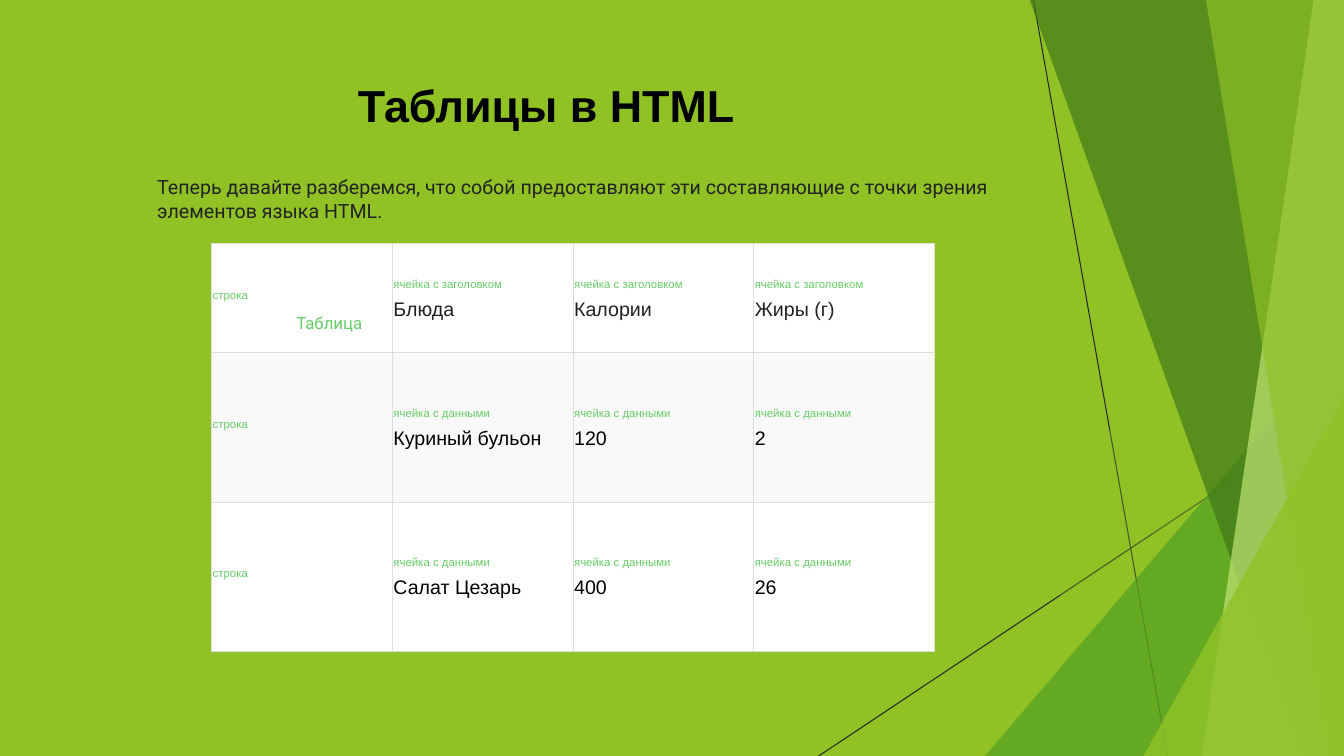
"""Builds the slide about tables in HTML with a labelled sample table."""
from lxml.etree import SubElement
from pptx import Presentation
from pptx.dml.color import RGBColor
from pptx.enum.shapes import MSO_CONNECTOR, MSO_SHAPE
from pptx.enum.text import MSO_ANCHOR, MSO_AUTO_SIZE
from pptx.oxml.ns import qn
from pptx.util import Inches, Pt

LIME = RGBColor(0x90, 0xC2, 0x26)
GREEN = RGBColor(0x54, 0xA0, 0x21)
DARK_GREEN = RGBColor(0x3F, 0x78, 0x19)
PALE_GREEN = RGBColor(0xC0, 0xE4, 0x74)
LABEL_GREEN = RGBColor(0x66, 0xCC, 0x66)
BLACK = RGBColor(0, 0, 0)
INK = RGBColor(0x22, 0x22, 0x22)
LINE_GREY = RGBColor(0x26, 0x26, 0x26)
BORDER_GREY = RGBColor(0xDD, 0xDD, 0xDD)
WHITE = RGBColor(0xFF, 0xFF, 0xFF)
STRIPE = RGBColor(0xF9, 0xF9, 0xF9)
WIDTH, HEIGHT, BAND_TOP = 13.33, 7.5, -0.01


def add_run(paragraph, text, size, font_name, color, bold=False):
    run = paragraph.add_run()
    run.text = text
    settings = {"size": Pt(size), "name": font_name, "bold": bold}
    for name, value in settings.items():
        setattr(run.font, name, value)
    run.font.color.rgb = color
    return run


presentation = Presentation()
presentation.slide_width = Inches(WIDTH)
presentation.slide_height = Inches(HEIGHT)
slide = presentation.slides.add_slide(presentation.slide_layouts[6])
slide.background.fill.solid()
slide.background.fill.fore_color.rgb = LIME

for x1, y1, x2, y2 in [(10.25, 0, 11.58, HEIGHT), (WIDTH, 4.03, 8.12, HEIGHT)]:
    line = slide.shapes.add_connector(
        MSO_CONNECTOR.STRAIGHT, Inches(x1), Inches(y1), Inches(x2), Inches(y2))
    line.line.color.rgb = LINE_GREY
    line.line.width = Pt(0.75)
    SubElement(line._element.spPr, qn("a:effectLst"))

facets = [
    ("band", (12.28, 10.04), LIME, 30),
    ("band", (10.5, 11.83), LIME, 20),
    ("triangle", (9.77, 3.33, 3.56, 1), GREEN, 72),
    ("band", (10.21, 12.91), DARK_GREEN, 70),
    ("band", (13.03, 11.92), PALE_GREEN, 70),
    ("band", (11.96, 13.18), LIME, 65),
    ("triangle", (11.34, 3.93, 1.99, 1), LIME, 80),
    ("triangle", (0, 4.39, 0.49, 0), LIME, 85),
]
for kind, geometry, color, opacity in facets:
    if kind == "band":
        top_x, bottom_x = geometry
        builder = slide.shapes.build_freeform(Inches(top_x), Inches(BAND_TOP))
        corners = [(WIDTH, BAND_TOP), (WIDTH, HEIGHT), (bottom_x, HEIGHT)]
        builder.add_line_segments([(Inches(x), Inches(y)) for x, y in corners])
        shape = builder.convert_to_shape()
    else:
        left, top, width, apex = geometry
        shape = slide.shapes.add_shape(
            MSO_SHAPE.ISOSCELES_TRIANGLE, Inches(left), Inches(top),
            Inches(width), Inches(HEIGHT - top))
        shape.adjustments[0] = apex
    shape.shadow.inherit = False
    shape.line.fill.background()
    shape.fill.solid()
    shape.fill.fore_color.rgb = color
    tint = shape._element.spPr.find(qn("a:solidFill"))[0]
    SubElement(tint, qn("a:alpha")).set("val", str(opacity * 1000))

rows = [
    ("ячейка с заголовком", ["Блюда", "Калории", "Жиры (г)"], INK, WHITE, 1.08),
    ("ячейка с данными", ["Куриный бульон", "120", "2"], BLACK, STRIPE, 1.48),
    ("ячейка с данными", ["Салат Цезарь", "400", "26"], BLACK, WHITE, 1.48),
]
table = slide.shapes.add_table(
    len(rows), 4, Inches(2.1), Inches(2.42), Inches(7.17), Inches(4.04)).table
table.first_row = False
table.horz_banding = False
for row, (label, values, value_color, fill_color, height) in zip(table.rows, rows):
    row.height = Inches(height)
    for cell, value in zip(row.cells, [None, *values]):
        cell.vertical_anchor = MSO_ANCHOR.MIDDLE
        for side in ("left", "right", "top", "bottom"):
            setattr(cell, f"margin_{side}", Inches(0.01))
        paragraph = cell.text_frame.paragraphs[0]
        caption = add_run(paragraph, label if value else "строка", 14, "Arial", LABEL_GREEN)
        caption.font._element.set("baseline", "30000")
        if value:
            paragraph.add_line_break()
            line_break = paragraph._p.find(qn("a:br"))
            SubElement(line_break, qn("a:rPr")).set("sz", "1400")
            add_run(paragraph, value, 14, "Arial", value_color)
        properties = cell._tc.get_or_add_tcPr()
        for edge in ("lnL", "lnR", "lnT", "lnB"):
            border = SubElement(properties, qn(f"a:{edge}"), w=str(Pt(0.75)))
            paint = SubElement(border, qn("a:solidFill"))
            SubElement(paint, qn("a:srgbClr"), val=str(BORDER_GREY))
        cell.fill.solid()
        cell.fill.fore_color.rgb = fill_color

texts = [
    ("Таблицы в HTML", (3.45, 0.67, 5.92, 0.74), 32, "Arial", BLACK,
     {"margin_top": Inches(0.1), "margin_bottom": Inches(0.1)}),
    ("Таблица", (2.84, 3.05, 0.88, 0.3), 12, "Roboto", LABEL_GREEN,
     {"word_wrap": False, "vertical_anchor": MSO_ANCHOR.MIDDLE}),
    ("Теперь давайте разберемся, что собой предоставляют эти составляющие "
     "с точки зрения элементов языка HTML.",
     (1.46, 1.69, 8.55, 0.57), 14, "Roboto", INK, {}),
]
for text, box, size, font_name, color, frame_settings in texts:
    frame = slide.shapes.add_textbox(*map(Inches, box)).text_frame
    defaults = {"word_wrap": True, "auto_size": MSO_AUTO_SIZE.SHAPE_TO_FIT_TEXT}
    for name, value in (defaults | frame_settings).items():
        setattr(frame, name, value)
    add_run(frame.paragraphs[0], text, size, font_name, color, bold=size == 32)

presentation.save("out.pptx")
